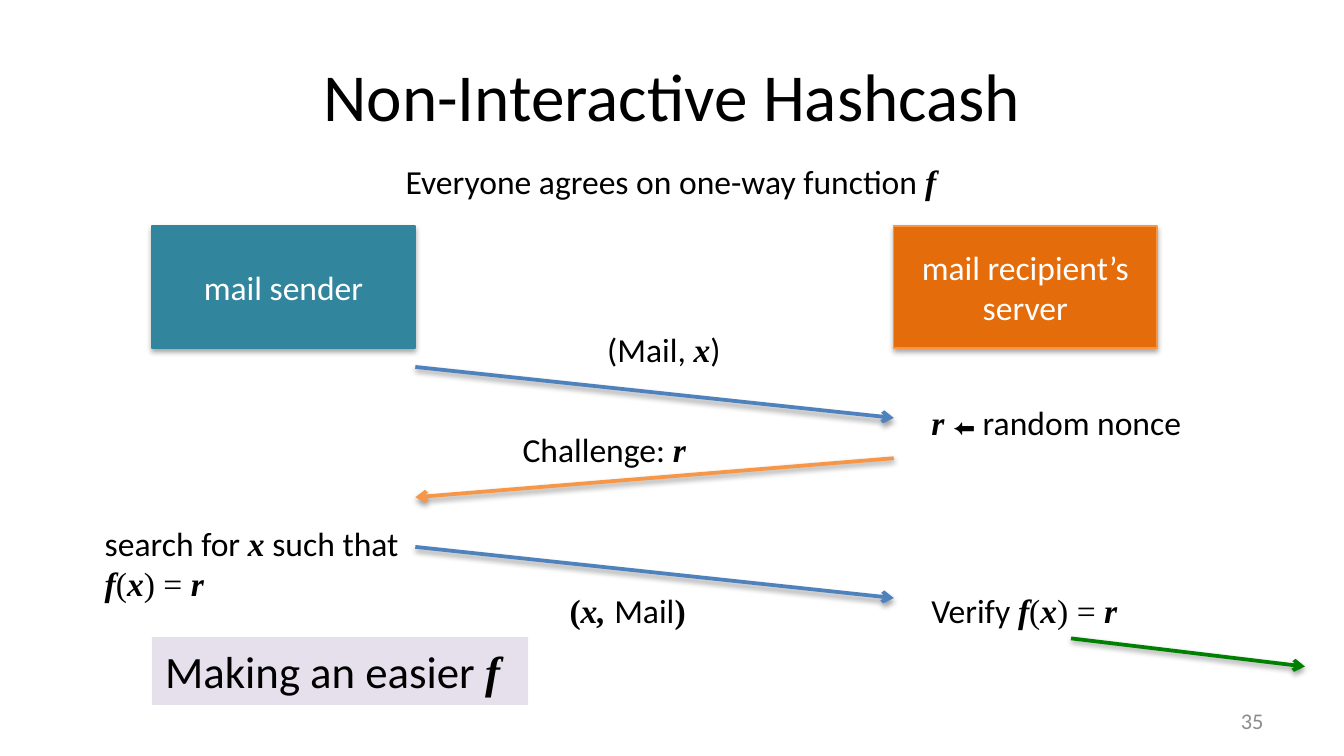
from dataclasses import dataclass

from lxml import etree
from pptx import Presentation
from pptx.dml.color import RGBColor
from pptx.enum.shapes import MSO_CONNECTOR, MSO_SHAPE
from pptx.enum.text import MSO_ANCHOR, MSO_AUTO_SIZE, PP_ALIGN
from pptx.oxml import parse_xml
from pptx.oxml.ns import nsdecls, qn
from pptx.util import Pt

LEFT, CENTER, RIGHT = PP_ALIGN.LEFT, PP_ALIGN.CENTER, PP_ALIGN.RIGHT
TOP, MIDDLE = MSO_ANCHOR.TOP, MSO_ANCHOR.MIDDLE
RECT, STRAIGHT = MSO_SHAPE.RECTANGLE, MSO_CONNECTOR.STRAIGHT
FIT = MSO_AUTO_SIZE.SHAPE_TO_FIT_TEXT

COLORS = {
    "black": "000000", "white": "FFFFFF", "gray": "8C8C8C",
    "teal": "31859C", "orange": "E46C0A", "peach": "F79646",
    "blue": "4F81BD", "green": "008000", "lilac": "E6E0EC",
}
STYLES = {
    "text": {"name": "Calibri", "bold": False, "italic": False},
    "math": {"name": "Times New Roman", "bold": True, "italic": True},
    "serif": {"name": "Times New Roman", "bold": False, "italic": False},
    "strong": {"name": "Times New Roman", "bold": True, "italic": False},
    "sign": {"name": "Arial", "bold": False, "italic": False, "size": Pt(12)},
}

Run = tuple[str, str]
Lines = list[list[Run]]


@dataclass
class Label:
    x: float
    y: float
    w: float
    h: float
    lines: Lines
    size: float = 18
    color: str = "black"
    align: PP_ALIGN = LEFT
    anchor: MSO_ANCHOR = TOP
    wrap: bool = False
    fill: str = ""


@dataclass
class Party:
    x: float
    name: str
    fill: str
    line: str


@dataclass
class Arrow:
    x1: float
    y1: float
    x2: float
    y2: float
    color: str


def rgb(name: str) -> RGBColor:
    return RGBColor.from_string(COLORS[name])


def shade(shape, alpha: int, dist: float) -> None:
    """Give the shape a soft shadow straight below it."""
    shape._element.spPr.append(parse_xml(
        f'<a:effectLst {nsdecls("a")}><a:outerShdw blurRad="{Pt(3.1)}" '
        f'dist="{Pt(dist)}" dir="5400000" rotWithShape="0">'
        f'<a:srgbClr val="{COLORS["black"]}"><a:alpha val="{alpha * 1000}"/>'
        '</a:srgbClr></a:outerShdw></a:effectLst>'))


def write(frame, lines: Lines, size: float, color: str, align: PP_ALIGN) -> None:
    for i, runs in enumerate(lines):
        para = frame.add_paragraph() if i else frame.paragraphs[0]
        para.alignment = align
        for text, style in runs:
            run = para.add_run()
            run.text = text
            run.font.color.rgb = rgb(color)
            for key, value in ({"size": Pt(size)} | STYLES[style]).items():
                setattr(run.font, key, value)


def add_label(slide, label: Label) -> None:
    box = slide.shapes.add_textbox(
        Pt(label.x), Pt(label.y), Pt(label.w), Pt(label.h))
    if label.fill:
        box.fill.solid()
        box.fill.fore_color.rgb = rgb(label.fill)
    frame = box.text_frame
    frame.word_wrap = label.wrap
    frame.vertical_anchor = label.anchor
    if not label.wrap:
        frame.auto_size = FIT
    write(frame, label.lines, label.size, label.color, label.align)


def add_party(slide, party: Party) -> None:
    box = slide.shapes.add_shape(RECT, Pt(party.x), Pt(121), Pt(141), Pt(65.5))
    box.fill.solid()
    box.fill.fore_color.rgb = rgb(party.fill)
    box.line.color.rgb = rgb(party.line)
    box.line.width = Pt(0.75)
    shade(box, 35, 1.8)
    frame = box.text_frame
    frame.word_wrap = True
    frame.vertical_anchor = MIDDLE
    write(frame, [[(party.name, "text")]], 18, "white", CENTER)


def add_arrow(slide, arrow: Arrow) -> None:
    line = slide.shapes.add_connector(
        STRAIGHT, Pt(arrow.x1), Pt(arrow.y1), Pt(arrow.x2), Pt(arrow.y2))
    line.line.color.rgb = rgb(arrow.color)
    line.line.width = Pt(2)
    etree.SubElement(line.line._get_or_add_ln(), qn("a:tailEnd"), type="arrow")
    shade(line, 38, 1.6)


NEAR, FAR = 222.5, 478.8
NOTE = 491.8
F, X, R = ("f", "math"), ("x", "math"), ("r", "math")
PROOF = [F, ("(", "serif"), X, (") = ", "serif"), R]

PARTIES = [
    Party(81.4, "mail sender", "teal", "teal"),
    Party(FAR, "mail recipient’s server", "orange", "peach"),
]
ARROWS = [
    Arrow(NEAR, 196.6, FAR, 223.9, "blue"),
    Arrow(FAR, 245.5, NEAR, 266.4, "peach"),
    Arrow(NEAR, 293, FAR, 320.4, "blue"),
    Arrow(573.8, 342, 699.1, 357.1, "green"),
]
LABELS = [
    Label(36, 16.6, 648, 67.7, [[("Non-Interactive Hashcash", "text")]],
          size=36, align=CENTER, anchor=MIDDLE, wrap=True),
    Label(516.2, 375.1, 167.8, 21.6, [[("35", "text")]],
          size=12, color="gray", align=RIGHT, anchor=MIDDLE, wrap=True),
    Label(210.2, 82.8, 307.4, 29,
          [[("Everyone agrees on one-way function ", "text"), F]]),
    Label(318.2, 172.8, 75.6, 29, [[("(Mail, ", "text"), X, (")", "text")]]),
    Label(272.9, 226.1, 108, 29, [[("Challenge: ", "text"), R]]),
    Label(NOTE, 211.7, 152.6, 29,
          [[("r ", "math"), ("⬅", "sign"), (" random nonce", "text")]]),
    Label(49, 276.5, 179.3, 51,
          [[("search for ", "text"), X, (" such that", "text")], PROOF]),
    Label(298, 312.5, 77.8, 29,
          [[("(", "strong"), ("x, ", "math"), ("Mail", "text"), (")", "strong")]]),
    Label(NOTE, 312.5, 121, 29, [[("Verify ", "text"), *PROOF]]),
    Label(81.4, 341.3, 201.6, 36.3, [[("Making an easier ", "text"), F]],
          size=24, fill="lilac"),
]


def main() -> None:
    deck = Presentation()
    deck.slide_width, deck.slide_height = Pt(720), Pt(405)
    slide = deck.slides.add_slide(deck.slide_layouts[6])
    for party in PARTIES:
        add_party(slide, party)
    for arrow in ARROWS:
        add_arrow(slide, arrow)
    for label in LABELS:
        add_label(slide, label)
    deck.save("out.pptx")


if __name__ == "__main__":
    main()
